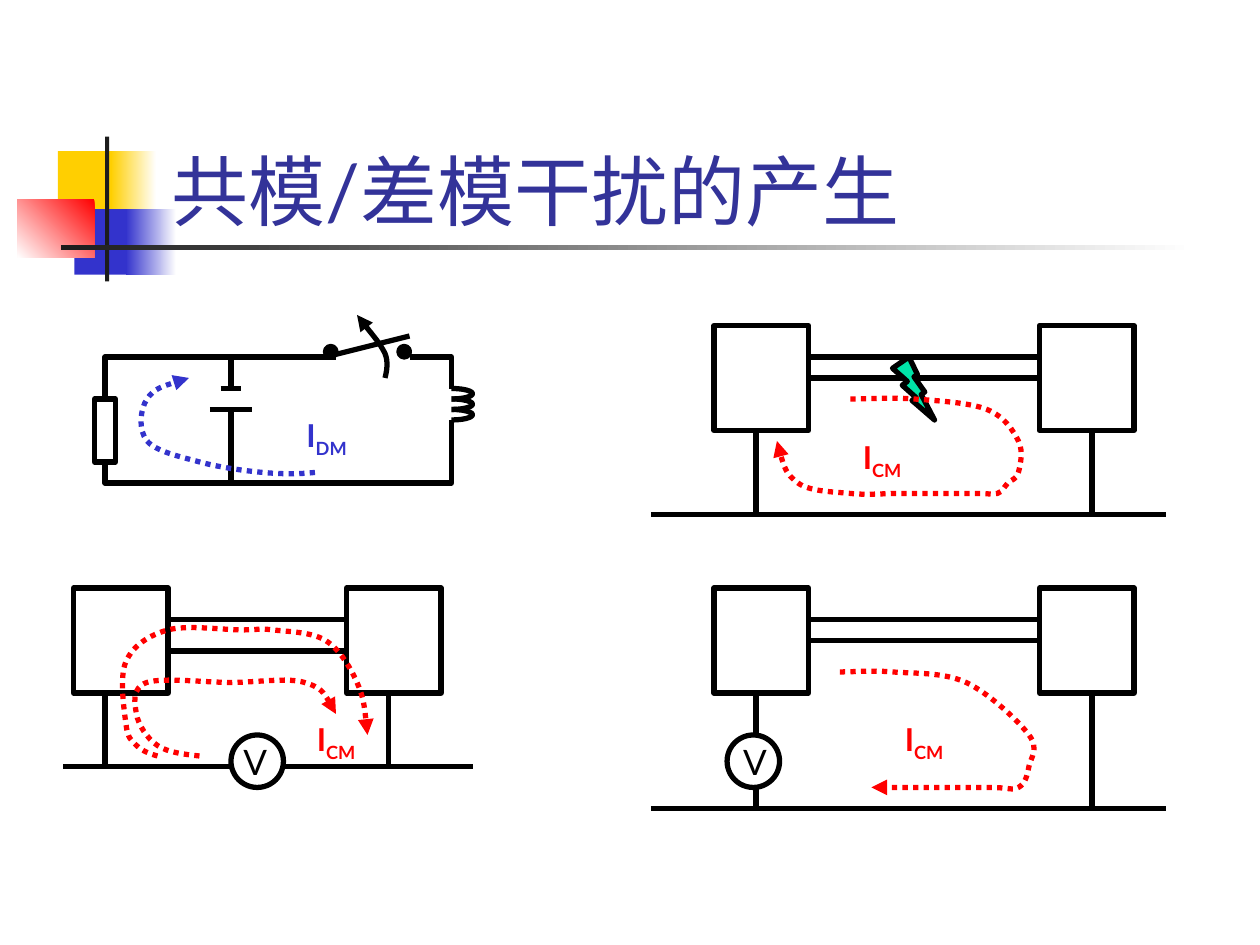
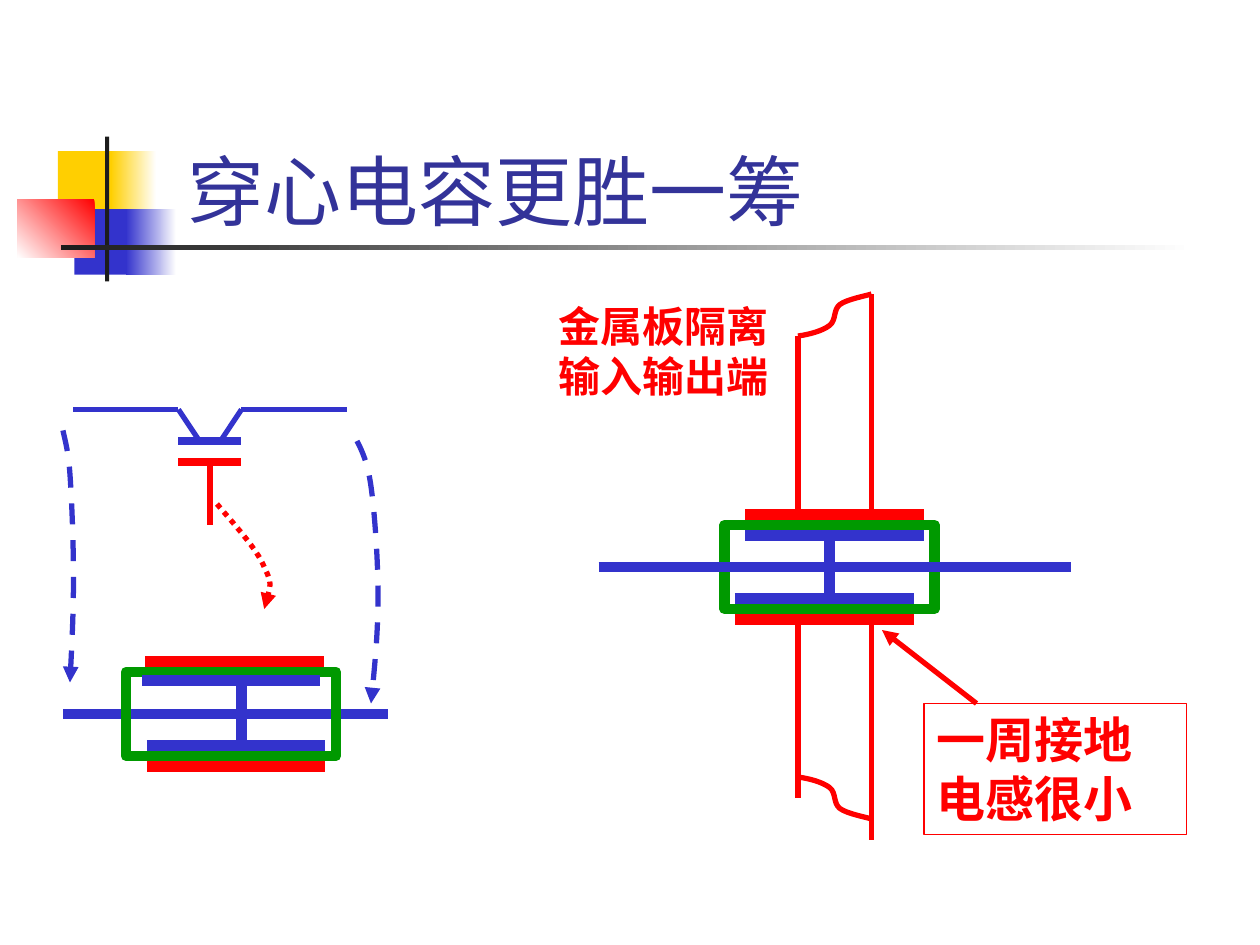
from dataclasses import dataclass

from lxml.etree import SubElement
from pptx import Presentation
from pptx.dml.color import RGBColor
from pptx.enum.dml import MSO_LINE
from pptx.enum.lang import MSO_LANGUAGE_ID
from pptx.enum.shapes import MSO_CONNECTOR, MSO_SHAPE
from pptx.enum.text import MSO_ANCHOR, MSO_AUTO_SIZE, PP_ALIGN
from pptx.oxml.ns import qn
from pptx.util import Pt


@dataclass(frozen=True)
class Theme:
    font: str = "Lato"
    black: str = "000000"
    white: str = "FFFFFF"
    red: str = "FF0000"
    blue: str = "3333CC"
    green: str = "009900"
    mint: str = "00E4A8"
    yellow: str = "FFCF01"
    charcoal: str = "1C1C1C"
    title_color: str = "333399"
    title_size: int = 44
    callout_size: int = 28
    note_size: int = 24
    meter_size: int = 20
    current_size: int = 18
    hairline: float = 0.75
    wire: float = 3
    plate: float = 4.5
    heavy: float = 6


THEME = Theme()
RECT, OVAL = MSO_SHAPE.RECTANGLE, MSO_SHAPE.OVAL
DOTTED, DASHED = MSO_LINE.ROUND_DOT, MSO_LINE.DASH
BOX_WIDTH, BOX_HEIGHT = 54, 60


def apply(target, values):
    for name, value in values.items():
        setattr(target, name, value)


def rgb(color):
    return RGBColor.from_string(color)


class Sketch:
    """Holds the deck, its theme and the page being drawn."""

    def __init__(self, theme):
        self.theme = theme
        self.deck = Presentation()
        apply(self.deck, {"slide_width": Pt(720), "slide_height": Pt(540)})
        self.layout = self.deck.slide_layouts[5]
        self.page = None

    def start_page(self, title, left):
        self.page = self.deck.slides.add_slide(self.layout)
        box = self.page.shapes.title
        apply(box, {"left": Pt(left), "top": Pt(48.2),
                    "width": Pt(613.4), "height": Pt(90)})
        frame = box.text_frame
        apply(frame, {"vertical_anchor": MSO_ANCHOR.BOTTOM,
                      "auto_size": MSO_AUTO_SIZE.NONE, "word_wrap": True})
        para = frame.paragraphs[0]
        para.alignment = PP_ALIGN.LEFT
        self.span(para, title, self.theme.title_size, self.theme.title_color, False)

    def span(self, para, text, size, color, bold):
        span = para.add_run()
        span.text = text
        apply(span.font, {"name": self.theme.font, "size": Pt(size), "bold": bold,
                          "language_id": MSO_LANGUAGE_ID.SIMPLIFIED_CHINESE})
        span.font.color.rgb = rgb(color)
        return span

    def stroke(self, shape, color, width, dash=None, arrow=False):
        shape.line.color.rgb = rgb(color)
        apply(shape.line, {"width": Pt(width), "dash_style": dash})
        if arrow:
            SubElement(shape.element.spPr.find(qn("a:ln")), qn("a:tailEnd"), type="triangle")

    def block(self, kind, bounds, fill=None, line=None, width=THEME.wire):
        shape = self.page.shapes.add_shape(kind, *map(Pt, bounds))
        shape.shadow.inherit = False
        if fill:
            shape.fill.solid()
            shape.fill.fore_color.rgb = rgb(fill)
        else:
            shape.fill.background()
        if line:
            self.stroke(shape, line, width)
        else:
            shape.line.fill.background()
        return shape

    def fade(self, bounds, colors, angle):
        shape = self.block(RECT, bounds)
        shape.fill.gradient()
        shape.fill.gradient_angle = angle
        for stop, color in zip(shape.fill.gradient_stops, colors):
            stop.color.rgb = rgb(color)
        return shape

    def line(self, x1, y1, x2, y2, color=THEME.black, width=THEME.wire, arrow=False):
        connector = self.page.shapes.add_connector(
            MSO_CONNECTOR.STRAIGHT, Pt(x1), Pt(y1), Pt(x2), Pt(y2))
        self.stroke(connector, color, width, arrow=arrow)
        SubElement(connector.element.spPr, qn("a:effectLst"))

    def polyline(self, points, color=THEME.black, dash=None, arrow=False, curved=False):
        """Open outline; when curved, each three points after the first form a Bézier."""
        builder = self.page.shapes.build_freeform(*points[0], scale=Pt(1))
        builder.add_line_segments(points[1:], close=False)
        shape = builder.convert_to_shape()
        shape.shadow.inherit = False
        shape.fill.background()
        if curved:
            outline = shape.element.find(".//" + qn("a:path"))
            segments = outline.findall(qn("a:lnTo"))
            for first in range(0, len(segments), 3):
                bezier = SubElement(outline, qn("a:cubicBezTo"))
                for segment in segments[first:first + 3]:
                    bezier.append(segment[0])
                    outline.remove(segment)
        self.stroke(shape, color, self.theme.wire, dash, arrow)

    def trail(self, points, color=THEME.red, dash=DOTTED):
        self.polyline(points, color, dash, arrow=True, curved=True)

    def label(self, bounds, text, size, color, bold=True, subscript=None):
        box = self.page.shapes.add_textbox(*map(Pt, bounds))
        box.text_frame.word_wrap = True
        para = box.text_frame.paragraphs[0]
        self.span(para, text, size, color, bold)
        if subscript:
            span = self.span(para, subscript, size, color, bold)
            span.font._element.set("baseline", "-25000")
        return box

    def current(self, left, top, subscript="CM", color=THEME.red, width=42):
        self.label((left, top, width, 32), "I", self.theme.current_size, color,
                   subscript=subscript)

    def voltmeter(self, left, text_left):
        self.block(OVAL, (left, 420, 30, 30), line=self.theme.black)
        self.label((text_left, 419.5, 36, 32), "V", self.theme.meter_size,
                   self.theme.black, bold=False)

    def linked_boxes(self, lefts, top, wire_gap):
        for left in lefts:
            self.block(RECT, (left, top, BOX_WIDTH, BOX_HEIGHT), line=self.theme.black)
        for height in (top + 18, top + 18 + wire_gap):
            self.line(lefts[0] + BOX_WIDTH, height, lefts[1], height)

    def grounded_boxes(self, top, ground, left_stub_end):
        self.linked_boxes((408, 594), top, 12)
        self.line(372, ground, 666, ground)
        for x, end in ((432, left_stub_end), (624, ground)):
            self.line(x, top + BOX_HEIGHT, x, end)

    def capacitor(self, left, top, plates, rod):
        self.block(RECT, (left, top, 120, 48), line=self.theme.green, width=self.theme.heavy)
        for x, y, color in plates:
            self.line(x, y, x + 102, y, color, self.theme.heavy)
        self.line(rod, top + 6, rod, top + 42, self.theme.blue, self.theme.heavy)

    def move_emblem_to_layout(self):
        """Draws the title emblem once and hands it to the shared layout."""
        look = self.theme
        parts = [
            self.block(RECT, (33.1, 86.4, 34.6, 37.4), look.yellow),
            self.fade((63.4, 86.4, 25.9, 37.4), (look.white, look.yellow), 180),
            self.block(RECT, (42.5, 119.5, 33.1, 37.4), look.blue),
            self.fade((72, 119.5, 28.8, 37.4), (look.white, look.blue), 180),
            self.fade((10, 113.8, 44, 33.4), (look.red, look.white), 225),
            self.block(RECT, (60, 78, 2.4, 82.8), look.charcoal),
            self.fade((34.6, 140.2, 648, 2.6), (look.white, look.charcoal), 180),
        ]
        for number, part in enumerate(parts, 100):
            part.element.nvSpPr.cNvPr.set("id", str(number))
            self.layout.shapes.element.append(part.element)


def draw_differential_loop(sketch):
    black = THEME.black
    sketch.block(RECT, (54, 228, 12, 36), line=black)
    sketch.polyline([(60, 228), (60, 204), (132, 204), (132, 221)])
    sketch.line(132, 204, 192, 204)
    sketch.line(186, 204, 234, 192)
    for turn in range(3):
        sketch.block(OVAL, (246, 222 + 6 * turn, 24, 6), line=black)
    sketch.block(RECT, (240, 216, 18, 30), THEME.white)
    sketch.polyline([(234, 204), (258, 204), (258, 222)])
    for contact in (228, 186):
        sketch.block(OVAL, (contact, 198, 6, 6), black, black)
    sketch.polyline([(132, 276), (258, 276), (258, 240)])
    sketch.polyline([(220, 216), (221, 212), (222, 207), (220, 202),
                     (217, 196), (210, 188), (204, 180)], arrow=True, curved=True)
    sketch.line(126, 222, 138, 222)
    sketch.line(120, 234, 144, 234)
    sketch.polyline([(60, 264), (60, 276), (132, 276), (132, 234)])
    sketch.trail([(180, 270), (171, 271), (161, 271), (150, 270), (139, 269), (125, 267),
                  (114, 264), (103, 261), (89, 258), (84, 252), (79, 246), (80, 234),
                  (84, 228), (88, 222), (98, 219), (108, 216)], THEME.blue)
    sketch.current(168, 234, "DM", THEME.blue, 54)


def draw_ground_voltage_loop(sketch):
    sketch.linked_boxes((42, 198), 336, 18)
    sketch.polyline([(60, 396), (60, 438), (132, 438)])
    sketch.polyline([(162, 438), (222, 438), (222, 396)])
    sketch.line(222, 438, 270, 438)
    sketch.line(36, 438, 60, 438)
    sketch.voltmeter(132, 132)
    sketch.trail([(114, 432), (105, 431), (96, 430), (90, 426), (84, 422), (79, 414),
                  (78, 408), (77, 402), (75, 393), (84, 390), (93, 387), (117, 390),
                  (132, 390), (147, 390), (164, 387), (174, 390), (184, 393), (188, 400),
                  (192, 408)])
    sketch.trail([(90, 432), (86, 431), (81, 429), (78, 426), (75, 423), (73, 422),
                  (72, 414), (71, 406), (68, 387), (72, 378), (76, 369), (85, 363),
                  (96, 360), (107, 357), (128, 360), (138, 360), (148, 360), (148, 359),
                  (156, 360), (164, 361), (178, 361), (186, 366), (194, 371), (200, 381),
                  (204, 390), (208, 399), (209, 410), (210, 420)])
    sketch.current(174, 408)


def draw_lightning_loop(sketch):
    sketch.grounded_boxes(186, 294, 294)
    sketch.block(MSO_SHAPE.LIGHTNING_BOLT, (510, 204, 24, 36), THEME.mint, THEME.black)
    sketch.trail([(486, 228), (498, 228), (509, 227), (522, 228), (535, 229), (554, 230),
                  (564, 234), (574, 238), (579, 246), (582, 252), (585, 258), (583, 266),
                  (582, 270), (581, 274), (578, 274), (576, 276), (574, 278), (573, 281),
                  (570, 282), (567, 283), (567, 282), (558, 282), (549, 282), (528, 282),
                  (516, 282), (504, 282), (496, 283), (486, 282), (476, 281), (463, 281),
                  (456, 276), (449, 271), (446, 261), (444, 252)])
    sketch.current(486, 247)


def draw_source_loop(sketch):
    sketch.grounded_boxes(336, 462, 420)
    sketch.voltmeter(415.5, 417.6)
    sketch.line(432, 450, 432, 462)
    sketch.trail([(480, 384), (489, 384), (498, 383), (510, 384), (522, 385), (539, 384),
                  (552, 390), (565, 396), (582, 412), (588, 420), (594, 428), (589, 433),
                  (588, 438), (587, 443), (586, 448), (582, 450), (578, 452), (578, 450),
                  (564, 450), (550, 450), (524, 450), (498, 450)])
    sketch.current(510, 408)


def draw_symbol_and_section(sketch):
    blue, red = THEME.blue, THEME.red
    sketch.line(102, 252, 138, 252, blue, THEME.plate)
    sketch.line(102, 264, 138, 264, red, THEME.plate)
    for ends in ((102, 234, 114, 252), (138, 234, 126, 252),
                 (42, 234, 102, 234), (138, 234, 198, 234)):
        sketch.line(*ends, blue)
    sketch.line(120, 264, 120, 300, red)
    sketch.line(36, 408, 222, 408, blue, THEME.heavy)
    sketch.trail([(204, 252), (207, 258), (210, 264), (212, 278), (214, 292), (216, 319),
                  (216, 340), (216, 361), (214, 382), (212, 402)], blue, DASHED)
    sketch.trail([(36, 246), (37, 251), (39, 257), (40, 271), (41, 285), (42, 310),
                  (42, 330), (42, 350), (41, 370), (40, 390)], blue, DASHED)
    sketch.trail([(124, 288), (135, 301), (147, 314), (151, 324), (156, 334), (153, 341),
                  (151, 348)])
    sketch.capacitor(72, 384, [(81, 389, blue), (84, 426, blue),
                               (83, 378, red), (84, 438, red)], 138)


def draw_panel_mounting(sketch):
    blue, red = THEME.blue, THEME.red
    panel = [(456, 192), (456, 294), (498, 294), (498, 168)]
    torn_edge = [(456, 192), (463, 191), (470, 189), (474, 186), (478, 183), (476, 177),
                 (480, 174), (484, 171), (495, 169), (498, 168)]
    sketch.polyline(panel, red)
    sketch.polyline(torn_edge, red, curved=True)
    sketch.polyline([(x, 648 - y) for x, y in panel], red)
    sketch.polyline([(x, 636 - y) for x, y in torn_edge], red, curved=True)
    sketch.capacitor(414, 300, [(426, 294, red), (420, 354, red),
                                (426, 306, blue), (420, 342, blue)], 474)
    sketch.line(342, 324, 612, 324, blue, THEME.heavy)
    sketch.label((312, 168, 144, 65), "金属板隔离输入输出端", THEME.note_size, red)
    callout = sketch.label((528, 402, 150, 75), "一周接地电感很小", THEME.callout_size, red)
    sketch.stroke(callout, red, THEME.hairline)
    sketch.line(558, 402, 504, 360, red, arrow=True)


def main():
    sketch = Sketch(THEME)
    sketch.start_page("共模/差模干扰的产生", 90.7)
    sketch.move_emblem_to_layout()
    draw_differential_loop(sketch)
    draw_ground_voltage_loop(sketch)
    draw_lightning_loop(sketch)
    draw_source_loop(sketch)
    sketch.start_page("穿心电容更胜一筹", 100)
    draw_symbol_and_section(sketch)
    draw_panel_mounting(sketch)
    sketch.deck.save("out.pptx")


if __name__ == "__main__":
    main()
